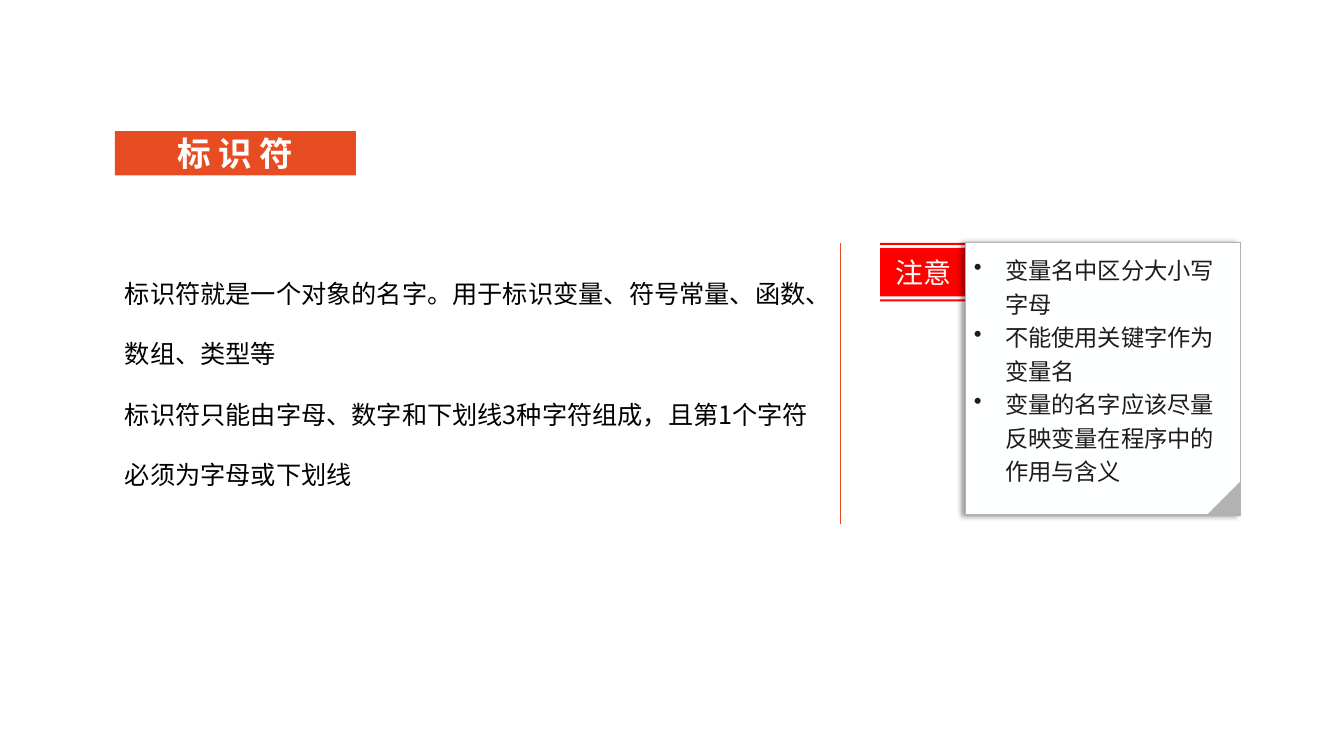
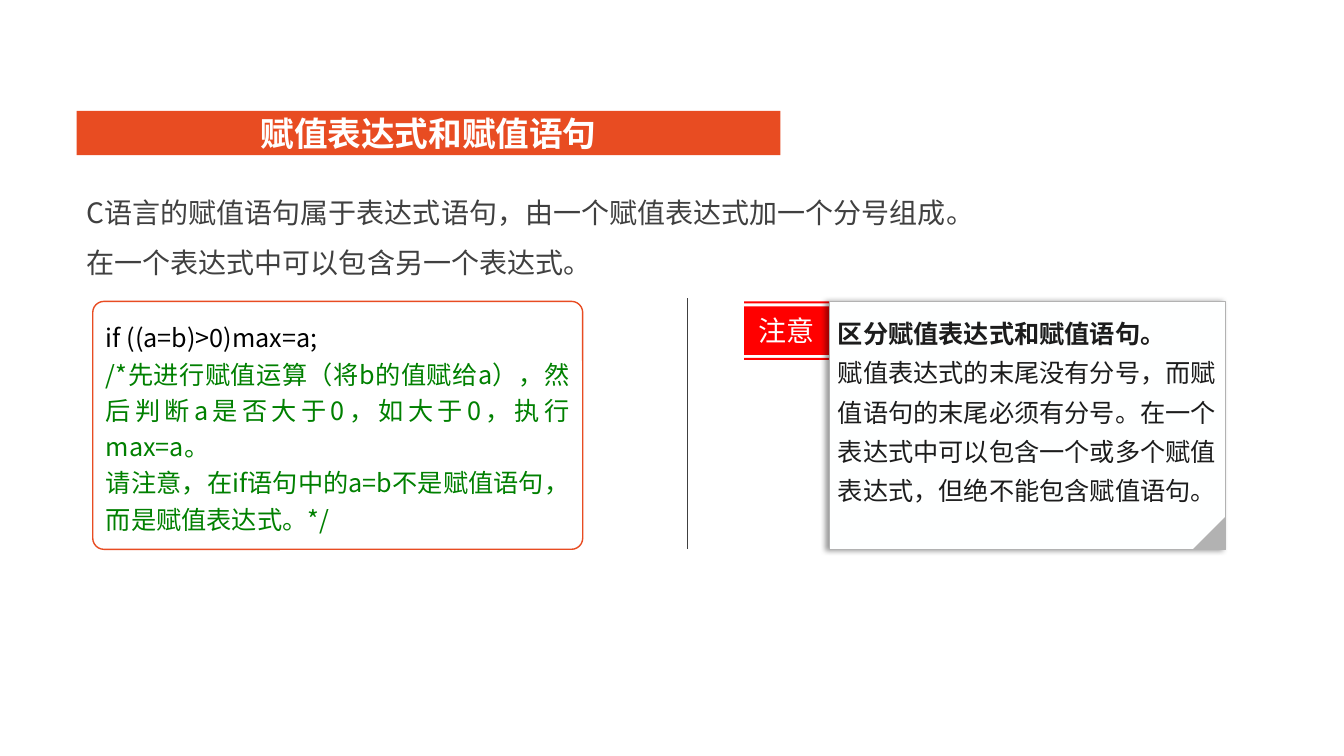
"""Build two slides on C identifiers and assignment statements."""
from dataclasses import dataclass

import pptx
import pptx.util
import pptx.dml.color
import pptx.enum.shapes
import pptx.enum.text
import pptx.oxml
import pptx.oxml.ns
from pptx.util import Inches

SHAPE = pptx.enum.shapes.MSO_SHAPE
ALIGN = pptx.enum.text.PP_ALIGN
ANCHOR = pptx.enum.text.MSO_ANCHOR
QN = pptx.oxml.ns.qn


@dataclass(frozen=True)
class Theme:
    """Colours, font and type sizes shared by the slides."""
    font: str = "Noto Sans CJK SC"
    accent: str = "E84C22"
    white: str = "FFFFFF"
    paper: str = "FEFFFF"
    fold: str = "B2B2B2"
    alert: str = "FF0000"
    ink: str = "1C1C1C"
    black: str = "000000"
    grey: str = "404040"
    comment: str = "008000"
    title: float = 24
    lead: float = 20
    body: float = 18
    bullet: float = 16.6


THEME = Theme()


def rgb(value):
    """Turn a hex string into a colour."""
    return pptx.dml.color.RGBColor.from_string(value)


def paint(sp, fill, line=None, width=0.75):
    """Set the fill and outline of a shape and drop its shadow."""
    sp.shadow.inherit = False
    sp.fill.solid()
    sp.fill.fore_color.rgb = rgb(fill)
    if line:
        sp.line.color.rgb = rgb(line)
        sp.line.width = pptx.util.Pt(width)
    else:
        sp.line.fill.background()


def add_bullet(p, indent):
    """Give a paragraph a round bullet with a hanging indent."""
    pPr = p._p.get_or_add_pPr()
    pPr.set("marL", str(Inches(indent)))
    pPr.set("indent", str(-Inches(indent)))
    bullet = pptx.oxml.parse_xml(
        '<a:buChar xmlns:a="http://schemas.openxmlformats.org/drawingml/2006/main" char="•"/>')
    pPr.append(bullet)


def write(sp, lines, size, color, align=ALIGN.LEFT, spacing=1.0,
          anchor=ANCHOR.TOP, insets=(0.1, 0.05), bullets=False):
    """Fill a shape with (text, format) lines that override the shared format."""
    tf = sp.text_frame
    frame = {"word_wrap": True, "vertical_anchor": anchor,
             "margin_left": Inches(insets[0]), "margin_right": Inches(insets[0]),
             "margin_top": Inches(insets[1]), "margin_bottom": Inches(insets[1])}
    for name, value in frame.items():
        setattr(tf, name, value)
    for i, (text, extra) in enumerate(lines):
        p = tf.add_paragraph() if i else tf.paragraphs[0]
        p.alignment = align
        p.line_spacing = spacing
        if bullets:
            add_bullet(p, 0.31)
        r = p.add_run()
        r.text = text
        look = {"size": pptx.util.Pt(size), "name": THEME.font, "bold": False, **extra}
        r.font.color.rgb = rgb(look.pop("color", color))
        for name, value in look.items():
            setattr(r.font, name, value)
        ea = r._r.get_or_add_rPr().makeelement(QN("a:ea"), {"typeface": THEME.font})
        r.font._element.find(QN("a:latin")).addnext(ea)


def add_box(s, kind, x, y, w, h, fill, line=None, width=0.75):
    """Add a painted preset shape."""
    sp = s.shapes.add_shape(kind, Inches(x), Inches(y), Inches(w), Inches(h))
    paint(sp, fill, line, width)
    return sp


def add_title(s, text, x, y, w):
    """Add the orange title band."""
    sp = add_box(s, SHAPE.RECTANGLE, x, y, w, 0.44, THEME.accent)
    write(sp, [(text, {"bold": True})], THEME.title, THEME.white,
          ALIGN.CENTER, anchor=ANCHOR.MIDDLE, insets=(0, 0))


def add_text(s, texts, x, y, w, h, size, color, spacing):
    """Add a plain text box with one paragraph per text."""
    sp = s.shapes.add_textbox(Inches(x), Inches(y), Inches(w), Inches(h))
    write(sp, [(text, {}) for text in texts], size, color, spacing=spacing)


def add_divider(s, x, top, bottom, color):
    """Add a thin vertical line."""
    line = s.shapes.add_connector(pptx.enum.shapes.MSO_CONNECTOR.STRAIGHT,
                                  Inches(x), Inches(top), Inches(x), Inches(bottom))
    line.line.color.rgb = rgb(color)
    line.line.width = pptx.util.Pt(0.5)
    spPr = line._element.spPr
    spPr.append(spPr.makeelement(QN("a:effectLst"), {}))


def add_label(s, text, x, y):
    """Add the red label with a thin stripe above and below."""
    w = 0.85
    builder = None
    for top, bottom in ((0, 0.02), (0.05, 0.53), (0.56, 0.58)):
        left, right = Inches(x), Inches(x + w)
        start, end = Inches(y + top), Inches(y + bottom)
        if builder is None:
            builder = s.shapes.build_freeform(left, start)
        else:
            builder.move_to(left, start)
        builder.add_line_segments([(right, start), (right, end), (left, end)], close=True)
    sp = builder.convert_to_shape()
    paint(sp, THEME.alert)
    write(sp, [(text, {})], THEME.lead, THEME.paper, ALIGN.CENTER, anchor=ANCHOR.MIDDLE)


def add_left_shadow(sp):
    """Cast a soft shadow to the left of a shape."""
    effects = sp._element.spPr.find(QN("a:effectLst"))
    effects.append(pptx.oxml.parse_xml(
        '<a:outerShdw xmlns:a="http://schemas.openxmlformats.org/drawingml/2006/main" '
        f'blurRad="{pptx.util.Pt(4)}" dist="{pptx.util.Pt(3)}" dir="10800000" '
        'algn="r" rotWithShape="0">'
        f'<a:srgbClr val="{THEME.black}"><a:alpha val="40000"/></a:srgbClr></a:outerShdw>'))


def add_note(s, lines, x, y, w, h, size, spacing, bullets=False):
    """Add a labelled paper note with a folded corner."""
    fold = 0.33
    add_label(s, "注意", x - 0.85, y)
    sp = add_box(s, SHAPE.RECTANGLE, x, y, w, h, THEME.paper, THEME.fold)
    add_left_shadow(sp)
    write(sp, lines, size, THEME.ink, spacing=spacing, insets=(0.08, 0.08), bullets=bullets)
    corner = add_box(s, SHAPE.RIGHT_TRIANGLE, x + w - fold, y + h - fold, fold, fold, THEME.fold)
    corner.rotation = 270


def add_code(s, lines, x, y, w, h):
    """Add the rounded frame that holds the code."""
    sp = add_box(s, SHAPE.ROUNDED_RECTANGLE, x, y, w, h, THEME.white, THEME.accent, 1)
    sp.adjustments[0] = 0.045
    write(sp, lines, THEME.body, THEME.black, ALIGN.JUSTIFY, 1.2, ANCHOR.MIDDLE)


def build_identifiers(s):
    """Build the slide on identifiers."""
    add_divider(s, 8.33, 2.41, 5.2, THEME.accent)
    add_title(s, "标 识 符", 1.14, 1.3, 2.39)
    add_text(s, ["标识符就是一个对象的名字。用于标识变量、符号常量、函数、数组、类型等",
                 "标识符只能由字母、数字和下划线3种字符组成，且第1个字符必须为字母或下划线"],
             1.14, 2.41, 7.05, 2.52, THEME.body, THEME.black, 2.0)
    rules = ["变量名中区分大小写字母", "不能使用关键字作为变量名",
             "变量的名字应该尽量反映变量在程序中的作用与含义"]
    add_note(s, [(rule, {}) for rule in rules], 9.58, 2.41, 2.72, 2.7,
             THEME.bullet, 1.2, bullets=True)


def build_assignment(s):
    """Build the slide on assignment expressions and statements."""
    add_title(s, "赋值表达式和赋值语句", 0.76, 1.1, 6.98)
    add_text(s, ["C语言的赋值语句属于表达式语句，由一个赋值表达式加一个分号组成。",
                 "在一个表达式中可以包含另一个表达式。"],
             0.76, 1.72, 10.45, 1.11, THEME.lead, THEME.grey, 1.5)
    green = {"color": THEME.comment}
    add_code(s, [("if ((a=b)>0)max=a;", {}),
                 ("/*先进行赋值运算（将b的值赋给a），然后判断a是否大于0，如大于0，执行max=a。", green),
                 ("请注意，在if语句中的a=b不是赋值语句，而是赋值表达式。*/", green)],
             0.92, 2.99, 4.86, 2.46)
    add_note(s, [("区分赋值表达式和赋值语句。", {"bold": True}),
                 ("赋值表达式的末尾没有分号，而赋值语句的末尾必须有分号。"
                  "在一个表达式中可以包含一个或多个赋值表达式，但绝不能包含赋值语句。", {})],
             8.23, 2.99, 3.93, 2.46, THEME.body, 1.3)
    add_divider(s, 6.82, 2.96, 5.45, THEME.grey)


def main():
    """Create the presentation and save it."""
    prs = pptx.Presentation()
    prs.slide_width, prs.slide_height = Inches(13.33), Inches(7.5)
    for build in (build_identifiers, build_assignment):
        build(prs.slides.add_slide(prs.slide_layouts[6]))
    prs.save("out.pptx")


if __name__ == "__main__":
    main()
